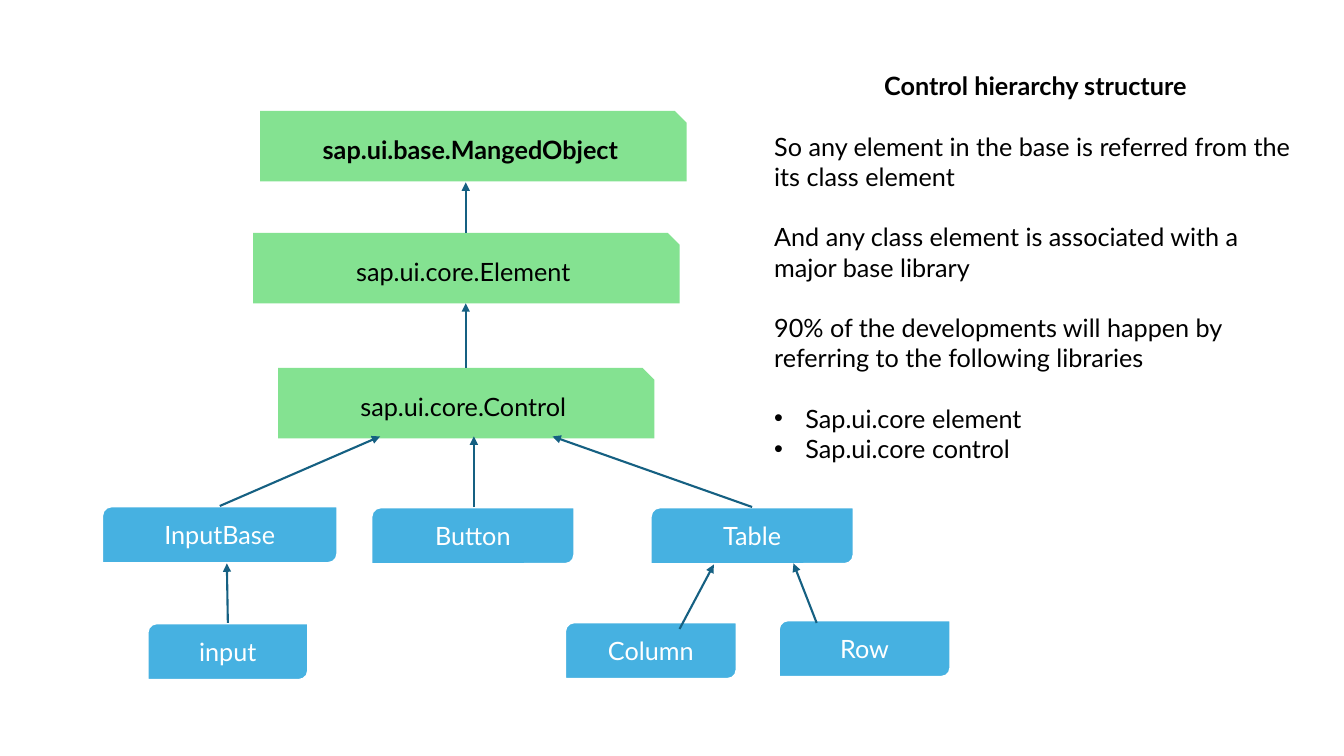
from lxml import etree
from pptx import Presentation
from pptx import util as u
from pptx.dml.color import RGBColor
from pptx.enum import shapes, text
from pptx.oxml import ns

theme = {
    "font": "Lato", "size": u.Pt(18), "leading": u.Pt(21.6),
    "ink": RGBColor.from_string("000000"), "paper": RGBColor.from_string("FFFFFF"),
    "base": RGBColor.from_string("84E291"), "control": RGBColor.from_string("46B1E1"),
    "arrow": RGBColor.from_string("156082"),
}

deck = Presentation()
deck.slide_width, deck.slide_height = u.Inches(13.33), u.Inches(7.5)
page = deck.slides.add_slide(deck.slide_layouts[5])


def inches(*lengths):
    return [u.Inches(length) for length in lengths]


def write(para, words, color, bold=False):
    span = para.add_run()
    span.text = words
    span.font.name, span.font.size = theme["font"], theme["size"]
    span.font.bold, span.font.color.rgb = bold, color


# Class boxes: each level of the hierarchy has one style and height
base_style = (shapes.MSO_SHAPE.SNIP_1_RECTANGLE, 0.7, theme["base"], theme["ink"])
control_style = (shapes.MSO_SHAPE.ROUND_2_DIAG_RECTANGLE, 0.57, theme["control"], theme["paper"])
classes = [
    ("sap.ui.base.MangedObject", 2.58, 1.1, 4.23, base_style),
    ("sap.ui.core.Element", 2.51, 2.31, 4.23, base_style),
    ("sap.ui.core.Control", 2.76, 3.65, 3.73, base_style),
    ("InputBase", 1.01, 5.02, 2.34, control_style),
    ("Button", 3.68, 5.03, 2.02, control_style),
    ("Table", 6.45, 5.03, 2.02, control_style),
    ("input", 1.46, 6.18, 1.6, control_style),
    ("Column", 5.6, 6.17, 1.71, control_style),
    ("Row", 7.72, 6.15, 1.71, control_style),
]
for name, left, top, width, (outline, height, fill, ink) in classes:
    box = page.shapes.add_shape(outline, *inches(left, top, width, height))
    box.shadow.inherit = False
    box.fill.solid()
    box.fill.fore_color.rgb = fill
    if fill == theme["control"]:
        box.line.color.rgb, box.line.width = theme["paper"], u.Pt(2)
    else:
        box.line.fill.background()
    box.text_frame.vertical_anchor = text.MSO_ANCHOR.MIDDLE
    para = box.text_frame.paragraphs[0]
    para.alignment = text.PP_ALIGN.CENTER
    write(para, name, ink, bold=name.startswith("sap.ui.base"))

# Inheritance arrows, from child to parent
arrows = [
    (4.62, 2.31, 4.62, 1.81), (4.62, 3.65, 4.62, 3.01),
    (2.18, 5.02, 3.77, 4.33), (4.7, 5.03, 4.7, 4.33), (7.46, 5.03, 5.48, 4.33),
    (2.26, 6.18, 2.25, 5.59), (6.74, 6.24, 7.08, 5.6), (8.1, 6.18, 7.87, 5.59),
]
for ends in arrows:
    arrow = page.shapes.add_connector(shapes.MSO_CONNECTOR.STRAIGHT, *inches(*ends))
    arrow.line.color.rgb, arrow.line.width = theme["arrow"], u.Pt(1.5)
    etree.SubElement(arrow.line._get_or_add_ln(), ns.qn("a:tailEnd"), type="triangle")
    etree.SubElement(arrow._element.spPr, ns.qn("a:effectLst"))

# Heading
title = page.shapes.title
title.left, title.top, title.width, title.height = inches(7.58, 0.65, 5.38, 0.4)
title.text_frame.vertical_anchor = text.MSO_ANCHOR.TOP
title.text_frame.auto_size = text.MSO_AUTO_SIZE.NONE
heading = title.text_frame.paragraphs[0]
heading.alignment = text.PP_ALIGN.CENTER
write(heading, "Control hierarchy structure", theme["ink"], bold=True)

# Notes on the hierarchy: words, gap after, bullet
notes = [
    ("So any element in the base is referred from the its class element", True, False),
    ("And any class element is associated with a major base library", True, False),
    ("90% of the developments will happen by", False, False),
    ("referring to the following libraries", True, False),
    ("Sap.ui.core element", False, True),
    ("Sap.ui.core control", False, True),
]
body = page.shapes.add_textbox(*inches(7.58, 1.25, 5.38, 3.44)).text_frame
body.word_wrap = True
for index, (words, gap, bullet) in enumerate(notes):
    para = body.add_paragraph() if index else body.paragraphs[0]
    para.space_after = theme["leading"] if gap else u.Pt(0)
    if bullet:
        props = para._p.get_or_add_pPr()
        props.set("marL", str(u.Inches(0.31)))
        props.set("indent", str(-u.Inches(0.31)))
        etree.SubElement(props, ns.qn("a:buFont"), typeface="Arial")
        etree.SubElement(props, ns.qn("a:buChar"), char="•")
    write(para, words, theme["ink"])

deck.save("out.pptx")
